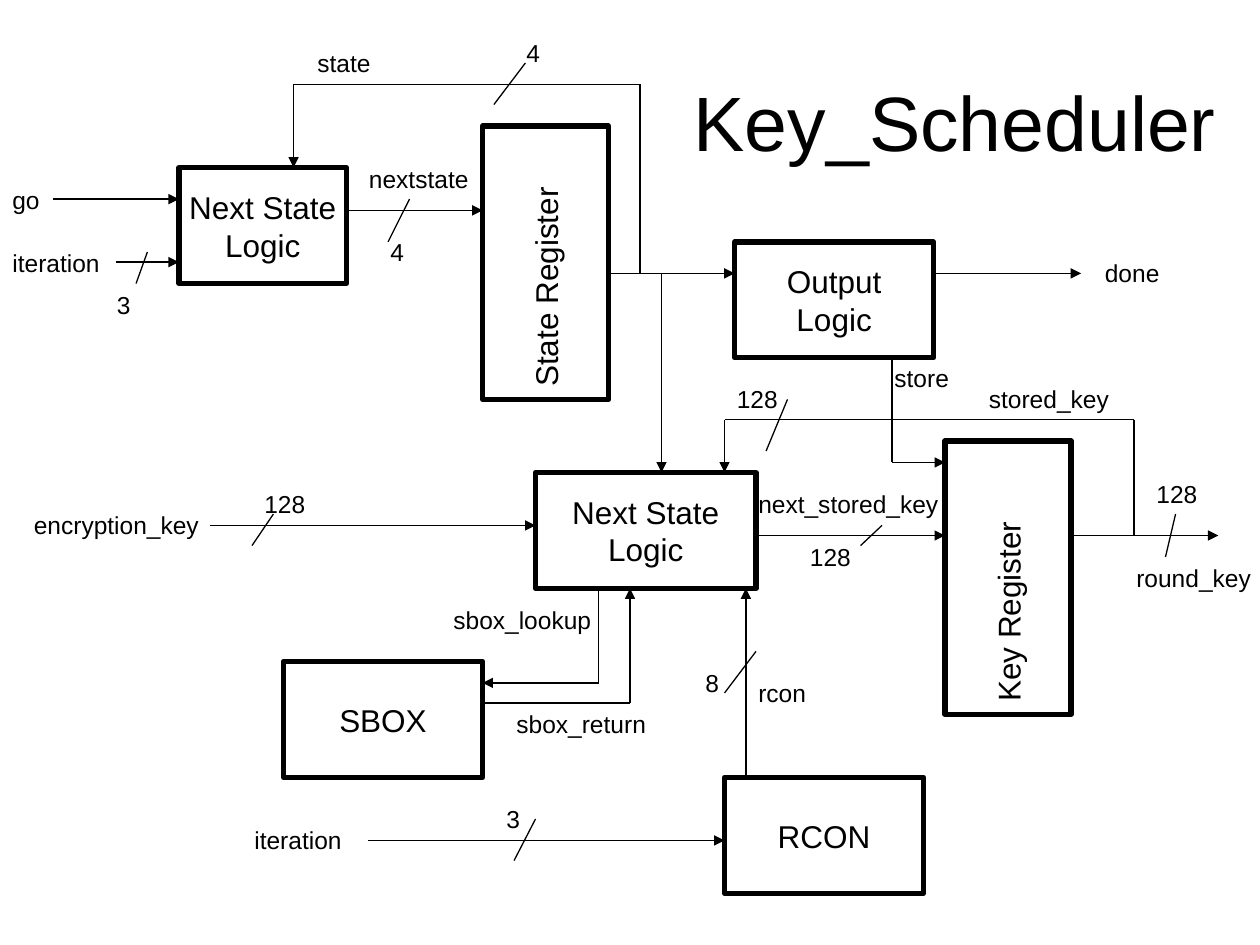
from dataclasses import dataclass
from itertools import pairwise

from lxml import etree
from pptx import Presentation
from pptx.dml.color import RGBColor
from pptx.enum.shapes import MSO_CONNECTOR, MSO_SHAPE
from pptx.enum.text import MSO_ANCHOR, MSO_AUTO_SIZE, PP_ALIGN
from pptx.oxml.ns import qn
from pptx.shapes.autoshape import Shape
from pptx.slide import Slide
from pptx.util import Inches, Pt

STRAIGHT = MSO_CONNECTOR.STRAIGHT
RECTANGLE = MSO_SHAPE.RECTANGLE
MIDDLE, TOP = MSO_ANCHOR.MIDDLE, MSO_ANCHOR.TOP
FIT_SHAPE = MSO_AUTO_SIZE.SHAPE_TO_FIT_TEXT
CENTER, LEFT = PP_ALIGN.CENTER, PP_ALIGN.LEFT

COLORS = {"ink": "000000", "paper": "FFFFFF"}
FONT = "Arial"
LABEL_HEIGHT = 0.34
BLOCK_HEIGHT = 0.92
REGISTER_WIDTH, REGISTER_HEIGHT = 1, 2.17

TITLE_FORMAT = {
    "frame": {"word_wrap": True, "vertical_anchor": MIDDLE},
    "paragraph": {"alignment": CENTER},
    "font": {"name": FONT, "size": Pt(44)},
}
BLOCK_FORMAT = {
    "frame": {"word_wrap": False, "vertical_anchor": MIDDLE},
    "paragraph": {"alignment": CENTER},
    "font": {"name": FONT, "size": Pt(18)},
}
REGISTER_FORMAT = BLOCK_FORMAT | {
    "frame": BLOCK_FORMAT["frame"] | {
        "margin_left": Inches(0.05), "margin_right": Inches(0.05),
        "margin_top": Inches(0.1), "margin_bottom": Inches(0.1),
    },
}
LABEL_FORMAT = {
    "frame": {"word_wrap": True, "vertical_anchor": TOP, "auto_size": FIT_SHAPE},
    "paragraph": {"alignment": LEFT, "space_before": Pt(8.8)},
    "font": {"name": FONT, "size": Pt(14)},
}


@dataclass(frozen=True)
class Block:
    text: str
    left: float
    top: float
    width: float
    height: float = BLOCK_HEIGHT
    vertical: bool = False


@dataclass(frozen=True)
class Label:
    text: str
    left: float
    top: float
    width: float


@dataclass(frozen=True)
class Wire:
    points: tuple[tuple[float, float], ...]
    arrow: bool = True


BLOCKS = [
    Block("Next State\nLogic", 1.42, 1.33, 1.33),
    Block("SBOX", 2.25, 5.25, 1.58),
    Block("RCON", 5.75, 6.17, 1.58),
    Block("Output\nLogic", 5.83, 1.92, 1.58),
    Block("Next State\nLogic", 4.25, 3.75, 1.75),
    Block("State Register", 3.83, 1, REGISTER_WIDTH, REGISTER_HEIGHT, True),
    Block("Key Register", 7.5, 3.5, REGISTER_WIDTH, REGISTER_HEIGHT, True),
]

WIRES = [
    Wire(((0.42, 1.58), (1.42, 1.58))),
    Wire(((0.92, 2.08), (1.42, 2.08))),
    Wire(((2.75, 1.67), (3.83, 1.67))),
    Wire(((4.83, 2.17), (5.83, 2.17))),
    Wire(((5.08, 2.17), (5.08, 0.67), (2.33, 0.67), (2.33, 1.33))),
    Wire(((5.25, 2.17), (5.25, 3.75))),
    Wire(((1.67, 4.17), (4.25, 4.17))),
    Wire(((3.83, 5.58), (5, 5.58), (5, 4.67))),
    Wire(((4.75, 4.67), (4.75, 5.42), (3.83, 5.42))),
    Wire(((2.92, 6.67), (5.75, 6.67))),
    Wire(((5.92, 6.17), (5.92, 4.67))),
    Wire(((6, 4.25), (7.5, 4.25))),
    Wire(((7.08, 2.83), (7.08, 3.67), (7.5, 3.67))),
    Wire(((8.5, 4.25), (9, 4.25)), arrow=False),
    Wire(((9, 4.25), (9, 3.33), (5.75, 3.33), (5.75, 3.75))),
    Wire(((9, 4.25), (9.67, 4.25))),
    Wire(((7.42, 2.17), (8.58, 2.17))),
]

BUS_SLASHES = [
    Wire(points, arrow=False)
    for points in (
        ((1.17, 2), (1.08, 2.25)),
        ((3.25, 1.58), (3.08, 1.92)),
        ((4.17, 0.5), (3.92, 0.83)),
        ((2.17, 4.08), (2, 4.33)),
        ((4.25, 6.5), (4.08, 6.83)),
        ((6, 5.17), (5.75, 5.5)),
        ((7, 4.17), (6.83, 4.33)),
        ((9.33, 4.08), (9.25, 4.42)),
        ((6.25, 3.17), (6.08, 3.58)),
    )
]

LABELS = [
    Label("go", 0, 1.42, 0.67),
    Label("iteration", 0, 1.92, 1),
    Label("3", 0.83, 2.25, 0.33),
    Label("nextstate", 2.83, 1.25, 1.25),
    Label("4", 3, 1.83, 0.33),
    Label("4", 4.08, 0.25, 0.33),
    Label("state", 2.42, 0.33, 1.25),
    Label("encryption_key", 0.17, 4, 1.75),
    Label("128", 2, 3.83, 0.67),
    Label("sbox_return", 4, 5.58, 1.33),
    Label("sbox_lookup", 3.5, 4.75, 1.33),
    Label("iteration", 1.92, 6.5, 1.08),
    Label("3", 3.92, 6.33, 0.33),
    Label("8", 5.5, 5.25, 0.33),
    Label("rcon", 5.92, 5.33, 0.75),
    Label("next_stored_key", 5.92, 3.83, 1.67),
    Label("128", 6.33, 4.25, 0.67),
    Label("store", 7, 2.83, 0.75),
    Label("128", 9.08, 3.75, 0.67),
    Label("round_key", 8.92, 4.42, 1.33),
    Label("128", 5.75, 3, 0.67),
    Label("stored_key", 7.75, 3, 1.67),
    Label("done", 8.67, 2, 0.75),
]


def apply_format(target: object, values: dict) -> None:
    for name, value in values.items():
        setattr(target, name, value)


def write_text(shape: Shape, text: str, text_format: dict) -> None:
    frame = shape.text_frame
    frame.text = text
    apply_format(frame, text_format["frame"])
    for paragraph in frame.paragraphs:
        apply_format(paragraph, text_format["paragraph"])
        for run in paragraph.runs:
            apply_format(run.font, text_format["font"])
            run.font.color.rgb = RGBColor.from_string(COLORS["ink"])


def draw_block(slide: Slide, block: Block) -> None:
    bounds = map(Inches, (block.left, block.top, block.width, block.height))
    shape = slide.shapes.add_shape(RECTANGLE, *bounds)
    shape.shadow.inherit = False
    shape.fill.solid()
    shape.fill.fore_color.rgb = RGBColor.from_string(COLORS["paper"])
    shape.line.color.rgb = RGBColor.from_string(COLORS["ink"])
    shape.line.width = Pt(3)
    write_text(shape, block.text, REGISTER_FORMAT if block.vertical else BLOCK_FORMAT)
    if block.vertical:
        shape.rotation = 180
        shape.element.txBody.find(qn("a:bodyPr")).set("vert", "eaVert")


def draw_wire(slide: Slide, wire: Wire) -> None:
    for start, end in pairwise(wire.points):
        connector = slide.shapes.add_connector(STRAIGHT, *map(Inches, start + end))
        connector.line.color.rgb = RGBColor.from_string(COLORS["ink"])
        connector.line.width = Pt(0.75)
        properties = connector.element.spPr
        if wire.arrow and end == wire.points[-1]:
            etree.SubElement(properties.find(qn("a:ln")), qn("a:tailEnd"), type="triangle")
        etree.SubElement(properties, qn("a:effectLst"))


def draw_text(slide: Slide, label: Label, height: float, text_format: dict) -> None:
    bounds = map(Inches, (label.left, label.top, label.width, height))
    write_text(slide.shapes.add_textbox(*bounds), label.text, text_format)


def main() -> None:
    presentation = Presentation()
    presentation.slide_width, presentation.slide_height = Inches(10), Inches(7.5)
    slide = presentation.slides.add_slide(presentation.slide_layouts[6])
    draw_text(slide, Label("Key_Scheduler", 3.08, 0.33, 9), 1.25, TITLE_FORMAT)
    for block in BLOCKS:
        draw_block(slide, block)
    for wire in WIRES + BUS_SLASHES:
        draw_wire(slide, wire)
    for label in LABELS:
        draw_text(slide, label, LABEL_HEIGHT, LABEL_FORMAT)
    presentation.save("out.pptx")


if __name__ == "__main__":
    main()
